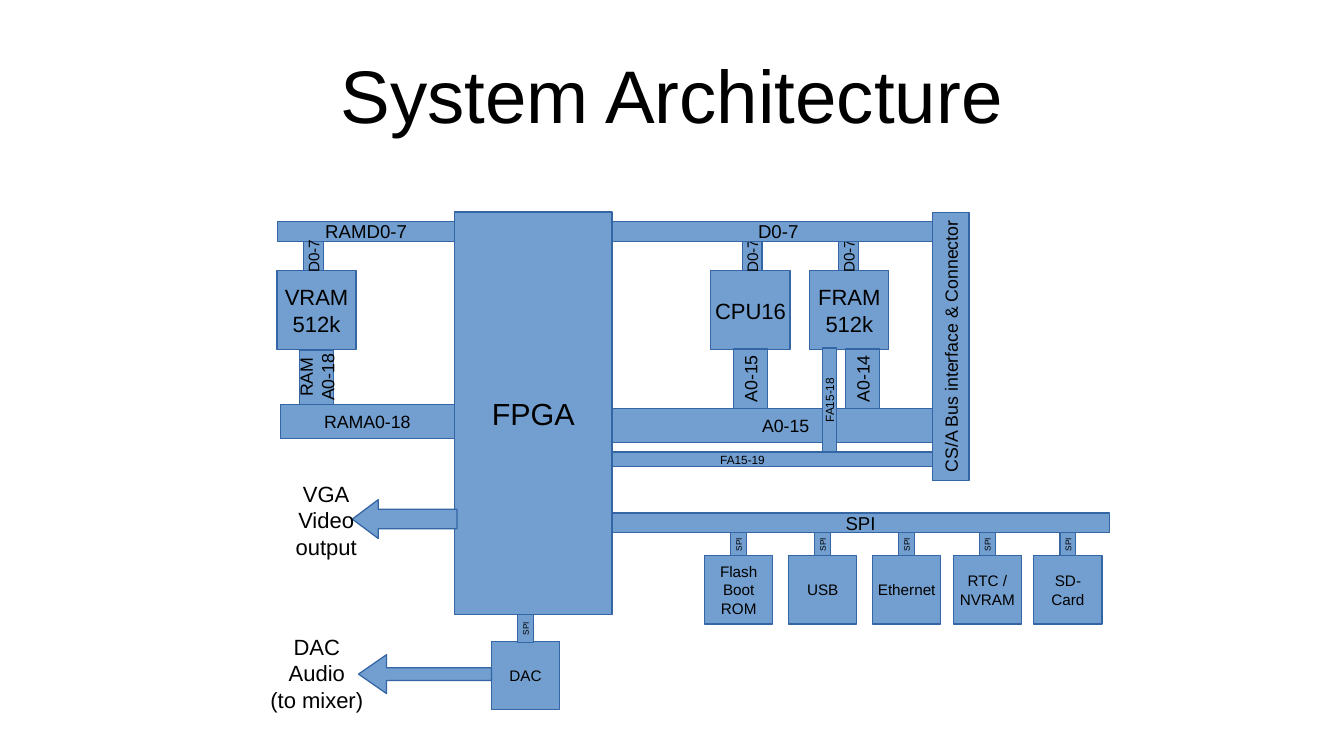
from dataclasses import dataclass

from pptx import Presentation
from pptx.dml.color import RGBColor
from pptx.enum.shapes import MSO_SHAPE
from pptx.enum.text import MSO_ANCHOR, PP_ALIGN
from pptx.util import Cm, Pt


@dataclass(frozen=True)
class Theme:
    font: str = "Arial"
    ink: RGBColor = RGBColor(0x00, 0x00, 0x00)
    fill: RGBColor = RGBColor(0x72, 0x9F, 0xCF)
    outline: RGBColor = RGBColor(0x34, 0x65, 0xA4)
    title: float = 44
    core: float = 18
    chip: float = 13
    data_bus: float = 11
    address_bus: float = 10.5
    small: float = 9
    narrow_bus: float = 7
    stub: float = 4.9


@dataclass(frozen=True)
class Box:
    """A rectangle in centimetres."""
    left: float
    top: float
    width: float
    height: float

    def inner(self, dx, dy, width, height):
        return Box(self.left + dx, self.top + dy, width, height)

    def column(self, center, dy, width, height):
        return self.inner(center - width / 2, dy, width, height)

    def turned(self):
        """The frame that fills this box after a quarter turn."""
        shift = (self.width - self.height) / 2
        return self.inner(shift, -shift, self.height, self.width)

    def lengths(self):
        return [Cm(v) for v in (self.left, self.top, self.width, self.height)]


THEME = Theme()
MARGINS = {"margin_left": Cm(0.25), "margin_right": Cm(0.25),
           "margin_top": Cm(0.13), "margin_bottom": Cm(0.13)}
BLOCK_FORMAT = {**MARGINS, "vertical_anchor": MSO_ANCHOR.MIDDLE, "word_wrap": False}
LABEL_FORMAT = {**MARGINS, "vertical_anchor": MSO_ANCHOR.TOP, "word_wrap": False}
TITLE_FORMAT = {**dict.fromkeys(MARGINS, 0),
                "vertical_anchor": MSO_ANCHOR.MIDDLE, "word_wrap": True}


# Shared parts
def apply(target, values):
    for name, value in values.items():
        setattr(target, name, value)


def write(frame, text, size, frame_format):
    apply(frame, frame_format)
    frame.text = text
    for line in frame.paragraphs:
        line.alignment = PP_ALIGN.CENTER
        for run in line.runs:
            apply(run.font, {"name": THEME.font, "size": Pt(size)})
            run.font.color.rgb = THEME.ink


def outlined(slide, kind, box):
    part = slide.shapes.add_shape(kind, *box.lengths())
    part.shadow.inherit = False
    part.fill.solid()
    part.fill.fore_color.rgb = THEME.fill
    part.line.color.rgb = THEME.outline
    part.line.width = Pt(0)
    return part


def block(slide, box, text, size, **extra):
    part = outlined(slide, MSO_SHAPE.RECTANGLE, box)
    write(part.text_frame, text, size, {**BLOCK_FORMAT, **extra})
    return part


def upright(slide, box, text, size):
    block(slide, box.turned(), text, size).rotation = 270


def label(slide, box, text, size, frame_format=LABEL_FORMAT):
    caption = slide.shapes.add_textbox(*box.lengths())
    write(caption.text_frame, text, size, frame_format)


def output_arrow(slide, box, shaft, head):
    arrow = outlined(slide, MSO_SHAPE.LEFT_ARROW, box)
    arrow.adjustments[0] = shaft
    arrow.adjustments[1] = head


# Regions
def system_bus(slide, box):
    chip = 1.65
    # Chips: name, left edge, centre of the data stub
    for name, left, data in (("CPU16", 2.06, 2.92), ("FRAM\n512k", 4.12, 4.93)):
        block(slide, box.inner(left, 1.22, chip, chip), name, THEME.chip)
        upright(slide, box.column(data, 0.61, 0.41, 0.61), "D0-7", THEME.small)
    # Horizontal buses, the narrow one with its label left of centre
    block(slide, box.inner(0, 0.2, 6.93, 0.41), "D0-7", THEME.data_bus)
    block(slide, box.inner(0, 4.09, 7.24, 0.71), "A0-15", THEME.address_bus)
    upright(slide, box.column(4.53, 2.83, 0.3, 2.17), "FA15-18", THEME.narrow_bus)
    block(slide, box.inner(0, 5, 7.19, 0.3), "FA15-19", THEME.narrow_bus,
          margin_right=Cm(2))
    # Address lines of the chips
    for name, center in (("A0-15", 2.88), ("A0-14", 5.22)):
        upright(slide, box.column(center, 2.85, 0.71, 1.24), name, THEME.address_bus)
    # Bus connector at the right edge
    connector = 0.76
    upright(slide, box.inner(box.width - connector, 0, connector, box.height),
            "CS/A Bus interface & Connector", THEME.address_bus)


def video_memory(slide, box):
    chip = 1.65
    block(slide, box.inner(0, 1.02, chip, chip), "VRAM\n512k", THEME.chip)
    block(slide, box.inner(0.07, 3.81, box.width - 0.07, 0.71), "RAMA0-18",
          THEME.address_bus)
    upright(slide, box.column(chip / 2, 2.67, 0.71, 1.14), "RAM\vA0-18",
            THEME.address_bus)
    block(slide, box.inner(0.02, 0, box.width - 0.02, 0.41), "RAMD0-7", THEME.data_bus)
    upright(slide, box.column(0.76, 0.41, 0.41, 0.61), "D0-7", THEME.small)


def spi_devices(slide, box):
    device, bus = 1.42, 0.41
    block(slide, box.inner(0, 0, box.width, bus), "SPI", THEME.data_bus)
    devices = (("Flash\vBoot\vROM", 2.64), ("USB", 4.39), ("Ethernet", 6.14),
               ("RTC /\vNVRAM", 7.82), ("SD-\vCard", 9.5))
    for name, center in devices:
        block(slide, box.column(center, box.height - device, device, device),
              name, THEME.small)
        upright(slide, box.column(center, bus, 0.33, 0.48), "SPI", THEME.stub)


def video_output(slide, box):
    output_arrow(slide, box.inner(1.6, 0.53, box.width - 1.6, 0.81), 0.5, 0.67)
    label(slide, box.inner(0, 0, 2.11, box.height), "VGA\nVideo\noutput", THEME.chip)


def audio_output(slide, box):
    dac = 1.42
    dac_left = box.width - dac
    block(slide, box.inner(dac_left, 0.56, dac, dac), "DAC", THEME.small)
    upright(slide, box.column(dac_left + dac / 2, 0, 0.33, 0.58), "SPI", THEME.stub)
    output_arrow(slide, box.inner(2.09, 0.84, dac_left - 2.09, 0.81), 0.33, 0.72)
    label(slide, box.inner(0, 0.26, 2.44, 2.21), "DAC\nAudio\n(to mixer)", THEME.chip)


def main():
    deck = Presentation()
    deck.slide_width, deck.slide_height = Cm(28), Cm(15.75)
    slide = deck.slides.add_slide(deck.slide_layouts[6])

    label(slide, Box(1.4, 0.63, 25.2, 2.63), "System Architecture",
          THEME.title, TITLE_FORMAT)
    block(slide, Box(9.47, 4.42, 3.28, 8.38), "FPGA", THEME.core)
    system_bus(slide, Box(12.75, 4.42, 7.44, 5.59))
    video_memory(slide, Box(5.77, 4.62, 3.7, 4.52))
    video_output(slide, Box(5.74, 9.88, 3.78, 2.21))
    spi_devices(slide, Box(12.75, 10.69, 10.36, 2.31))
    audio_output(slide, Box(5.38, 12.8, 6.28, 2.47))

    deck.save("out.pptx")


if __name__ == "__main__":
    main()
